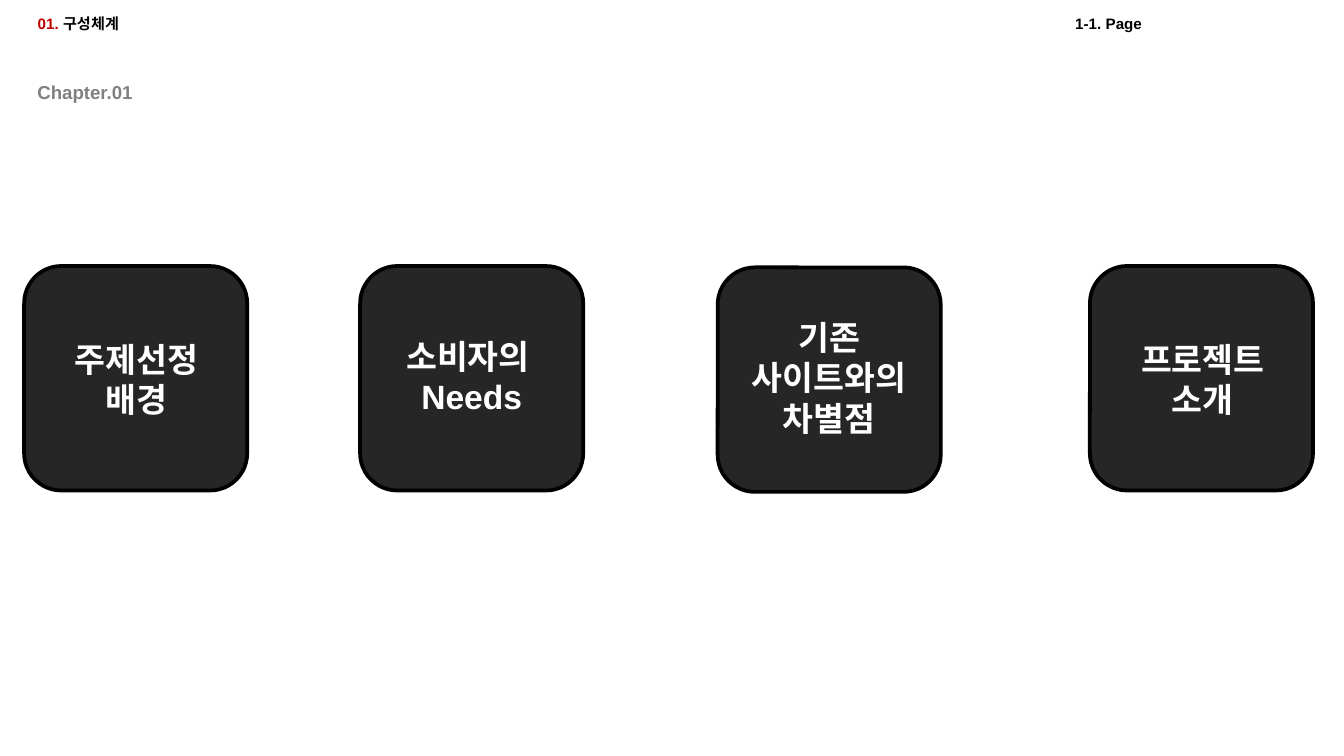
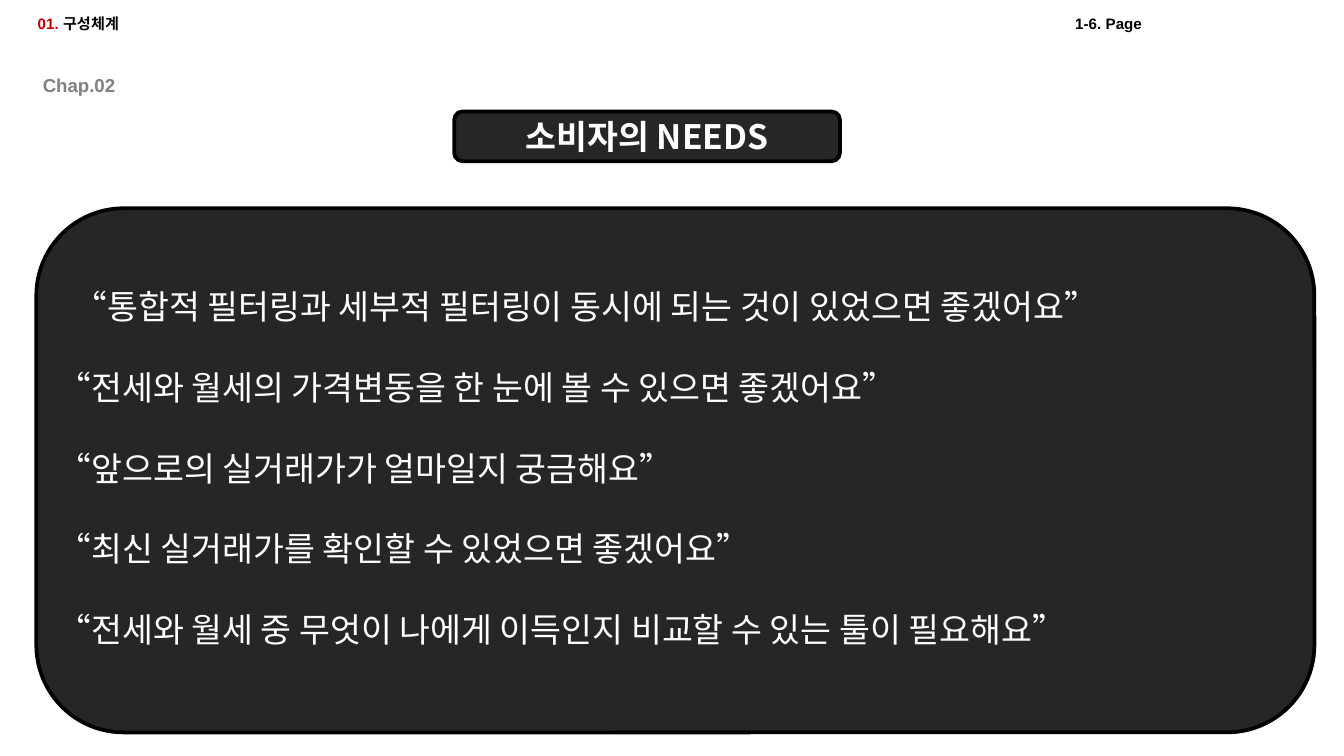
from dataclasses import dataclass

from lxml import etree
from pptx import Presentation
from pptx.dml.color import RGBColor
from pptx.enum import shapes, text
from pptx.oxml import ns
from pptx.util import Inches, Pt

# Content
SECTION_NUMBER, SECTION_NAME = "01.", "구성체계"

OVERVIEW = {
    "page_label": "1-1. Page",
    "chapter": ("Chapter.01", 0.18, 0.55),
    "cards": [  # card left and top, label box, paragraphs
        (0.18, 1.98, (0.26, 2.47, 1.51, 0.71), ["주제선정 배경"]),
        (2.68, 1.98, (2.79, 2.45, 1.44, 0.71), ["소비자의 ", "Needs"]),
        (5.34, 1.99, (5.45, 2.31, 1.44, 1.01), ["기존 사이트와의 차별점"]),
        (8.11, 1.98, (8.11, 2.47, 1.68, 0.71), ["프로젝트", "소개"]),
    ],
}

NEEDS = {
    "page_label": "1-6. Page",
    "chapter": ("Chap.02", 0.22, 0.5),
    "heading": "소비자의 NEEDS",
    "quotes": [
        "“통합적 필터링과 세부적 필터링이 동시에 되는 것이 있었으면 좋겠어요”",
        "“전세와 월세의 가격변동을 한 눈에 볼 수 있으면 좋겠어요”",
        "“앞으로의 실거래가가 얼마일지 궁금해요”",
        "“최신 실거래가를 확인할 수 있었으면 좋겠어요”",
        "“전세와 월세 중 무엇이 나에게 이득인지 비교할 수 있는 툴이 필요해요”",
    ],
}


@dataclass(frozen=True)
class Theme:
    latin: str = "Arial"
    korean: str = "Noto Sans CJK KR"
    accent: str = "C00000"
    ink: str = "000000"
    muted: str = "808080"
    panel: str = "262626"
    light: str = "FFFFFF"
    header_size: float = 8.1
    chapter_size: float = 10
    large_size: float = 18
    large_line: float = 21.6
    outline: float = 2


THEME = Theme()
CARD_WIDTH, CARD_HEIGHT = 1.66, 1.67
PAGE_LABEL_TAB = 7.72
QUOTE_INSET, FIRST_QUOTE_INDENT = 0.03, 0.12
LARGE_LABEL = dict(align=text.PP_ALIGN.CENTER, line=THEME.large_line,
                   size=THEME.large_size, color=THEME.light, bold=True)


# Text helpers
def add_span(para, words, *, size, color, bold=False, font=THEME.latin):
    """Add one formatted run, with the Korean face for East Asian letters."""
    span = para.add_run()
    span.text = words
    span.font.size = Pt(size)
    span.font.bold = bold
    span.font.name = font
    span.font.color.rgb = RGBColor.from_string(color)
    latin = span.font._element.find(ns.qn("a:latin"))
    latin.addnext(etree.Element(ns.qn("a:ea"), typeface=THEME.korean))


def write(frame, lines, *, align=text.PP_ALIGN.LEFT, line=None, gap=0, **style):
    """Fill a frame with one paragraph a line, gap points apart."""
    frame.word_wrap = True
    for number, words in enumerate(lines):
        para = frame.add_paragraph() if number else frame.paragraphs[0]
        para.alignment = align
        para.space_before = Pt(gap if number else 0)
        if line:
            para.line_spacing = Pt(line)
        add_span(para, words, **style)


def add_label(page, area, lines, **style):
    box = page.shapes.add_textbox(*map(Inches, area))
    write(box.text_frame, lines, **style)


def place(box, left, top, width, height):
    box.left, box.top = Inches(left), Inches(top)
    box.width, box.height = Inches(width), Inches(height)


# Shared parts
def add_panel(page, left, top, width, height):
    """Dark rounded panel with a black outline."""
    panel = page.shapes.add_shape(
        shapes.MSO_SHAPE.ROUNDED_RECTANGLE,
        Inches(left), Inches(top), Inches(width), Inches(height))
    panel.shadow.inherit = False
    panel.fill.solid()
    panel.fill.fore_color.rgb = RGBColor.from_string(THEME.panel)
    panel.line.color.rgb = RGBColor.from_string(THEME.ink)
    panel.line.width = Pt(THEME.outline)
    return panel


def add_header(page, page_label):
    """Section title on the left, page label at a tab stop on the right."""
    title = page.shapes.title
    place(title, 0.18, 0.06, 9.6, 0.23)
    frame = title.text_frame
    frame.auto_size = text.MSO_AUTO_SIZE.NONE
    frame.vertical_anchor = text.MSO_ANCHOR.MIDDLE
    frame.margin_top = frame.margin_bottom = 0
    para = frame.paragraphs[0]
    para.alignment = text.PP_ALIGN.LEFT
    tabs = etree.SubElement(para._p.get_or_add_pPr(), ns.qn("a:tabLst"))
    etree.SubElement(tabs, ns.qn("a:tab"),
                     pos=str(Inches(PAGE_LABEL_TAB)), algn="l")
    style = dict(size=THEME.header_size, bold=True)
    add_span(para, SECTION_NUMBER, color=THEME.accent, **style)
    add_span(para, f" {SECTION_NAME}\t{page_label}", color=THEME.ink, **style)


def add_page(deck, layout_name, content):
    page = deck.slides.add_slide(deck.slide_layouts.get_by_name(layout_name))
    add_header(page, content["page_label"])
    chapter, left, top = content["chapter"]
    add_label(page, (left, top, 1.09, 0.27), [chapter],
              size=THEME.chapter_size, color=THEME.muted, bold=True)
    return page


# Pages
def build_overview(deck):
    page = add_page(deck, "Title Only", OVERVIEW)
    for left, top, label_area, lines in OVERVIEW["cards"]:
        add_panel(page, left, top, CARD_WIDTH, CARD_HEIGHT)
        add_label(page, label_area, lines, **LARGE_LABEL)


def build_needs(deck):
    page = add_page(deck, "Title and Content", NEEDS)
    heading = add_panel(page, 3.38, 0.83, 2.87, 0.37).text_frame
    heading.vertical_anchor = text.MSO_ANCHOR.MIDDLE
    heading.margin_top = heading.margin_bottom = 0
    write(heading, [NEEDS["heading"]], font=THEME.korean, **LARGE_LABEL)
    panel = add_panel(page, 0.27, 1.55, 9.51, 3.9)

    # Quotes lie in front of the panel
    quotes = page.placeholders[1]
    panel.element.addnext(quotes.element)
    place(quotes, 0.4, 2.08, 9.51, 2.83)
    frame = quotes.text_frame
    frame.auto_size = text.MSO_AUTO_SIZE.NONE
    frame.vertical_anchor = text.MSO_ANCHOR.TOP
    frame.margin_left = Inches(QUOTE_INSET)
    write(frame, NEEDS["quotes"], line=THEME.large_line, gap=THEME.large_line,
          size=THEME.large_size, color=THEME.light, font=THEME.korean)
    for number, para in enumerate(frame.paragraphs):
        props = para._p.get_or_add_pPr()
        props.set("marL", str(Inches(0 if number else FIRST_QUOTE_INDENT)))
        props.set("indent", "0")
        etree.SubElement(props, ns.qn("a:buNone"))


def main():
    deck = Presentation()
    # Widescreen, 16:9
    deck.slide_width = Inches(10)
    deck.slide_height = deck.slide_width * 9 // 16
    build_overview(deck)
    build_needs(deck)
    deck.save("out.pptx")


if __name__ == "__main__":
    main()
